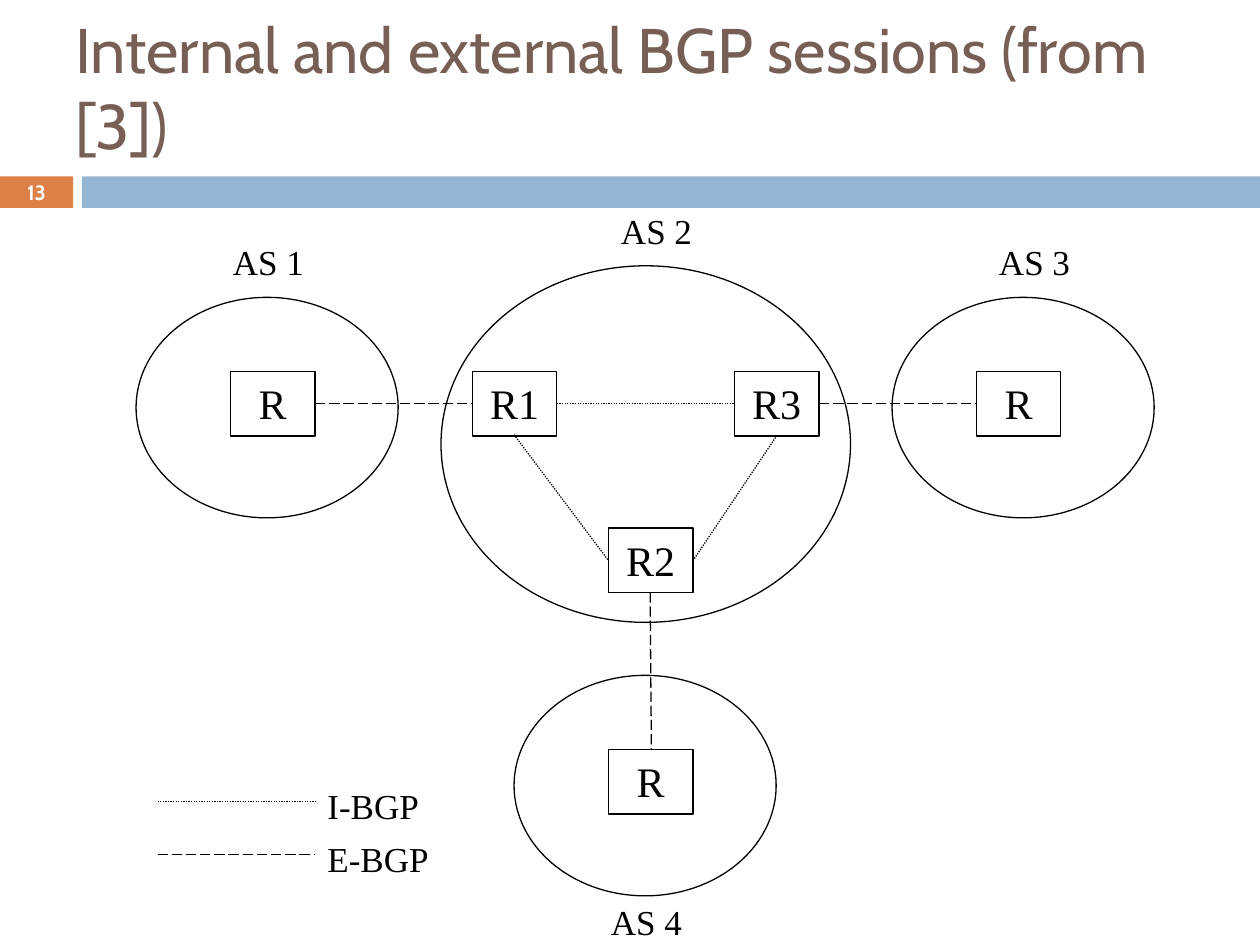
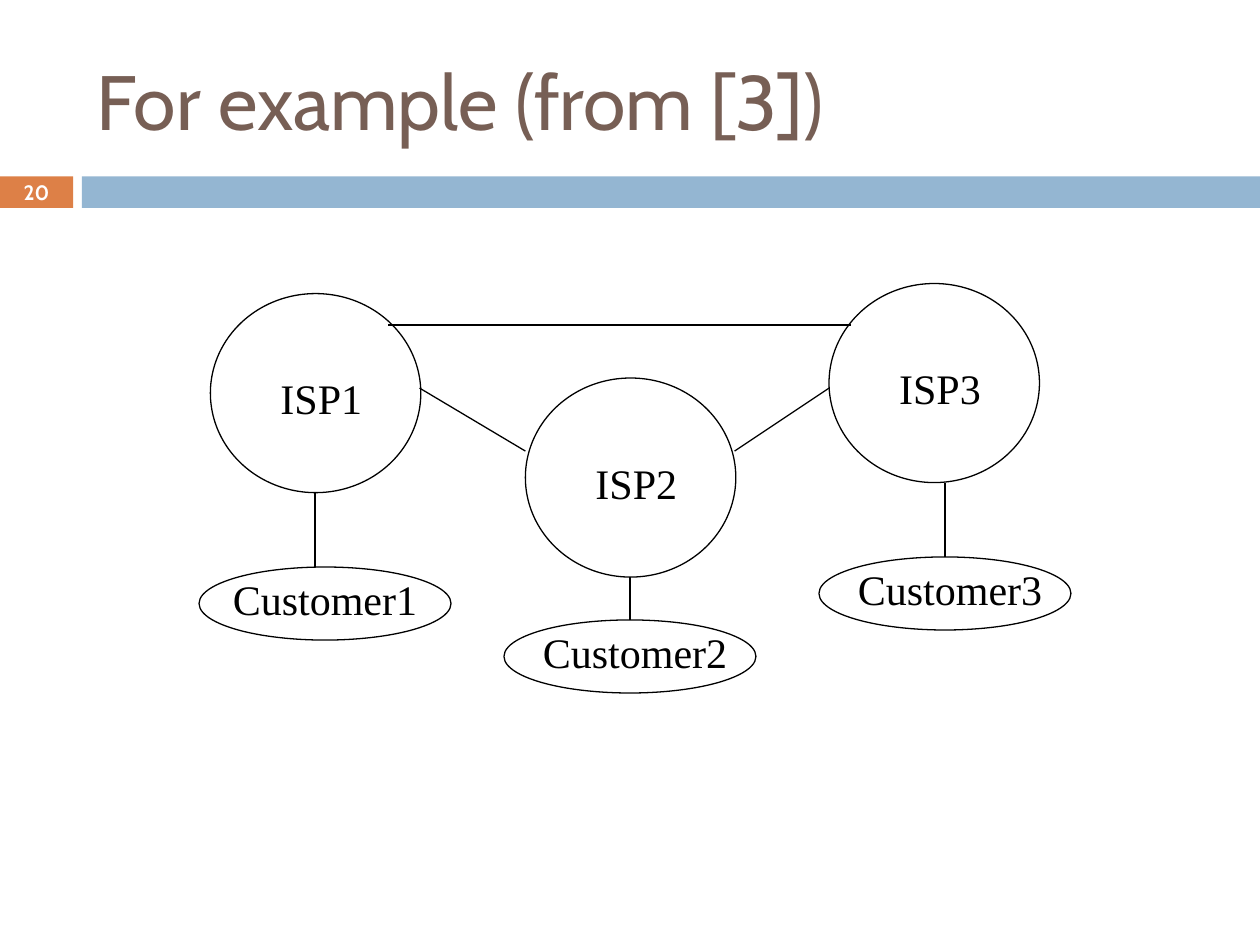
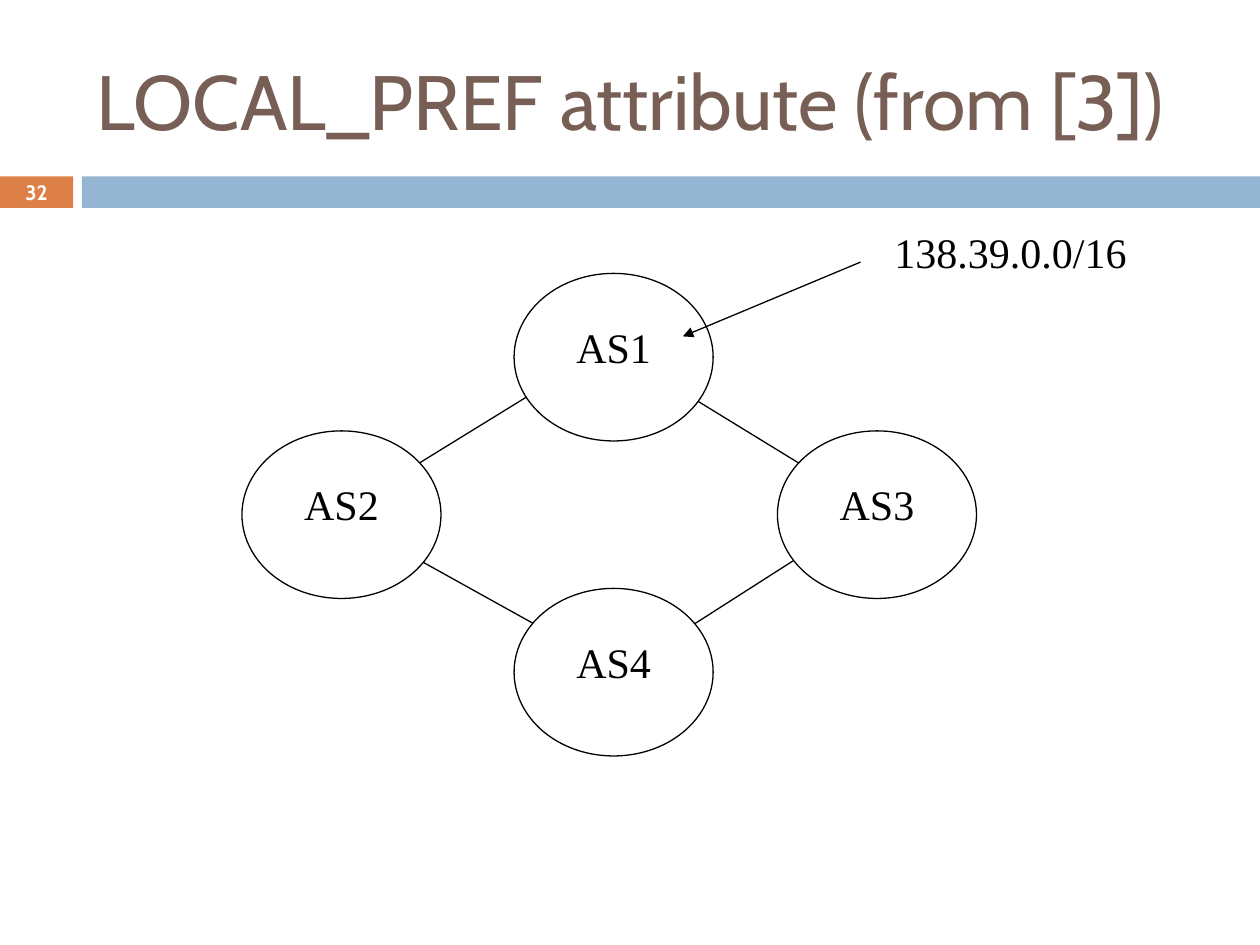
from dataclasses import dataclass
from typing import Optional

from lxml.etree import SubElement
from pptx import Presentation
from pptx.dml.color import RGBColor
from pptx.enum.dml import MSO_LINE
from pptx.enum.shapes import MSO_CONNECTOR, MSO_SHAPE
from pptx.enum.text import MSO_ANCHOR, PP_ALIGN
from pptx.oxml.ns import qn
from pptx.util import Cm, Pt

BLACK, WHITE = "000000", "FFFFFF"
BROWN, BLUE, ORANGE = "775F55", "94B6D2", "DD8047"
SANS, SERIF = "Cabin", "Times New Roman"
DOT, DASH = MSO_LINE.ROUND_DOT, MSO_LINE.LONG_DASH
OVAL, RECT = MSO_SHAPE.OVAL, MSO_SHAPE.RECTANGLE


@dataclass(frozen=True)
class Box:
    """Left, top, width and height in inches."""
    x: float
    y: float
    w: float
    h: float


@dataclass(frozen=True)
class Font:
    """Look of a run of text."""
    size: float
    face: str = SERIF
    color: str = BLACK
    bold: bool = False


@dataclass(frozen=True)
class Link:
    """A line between two points, in inches."""
    x1: float
    y1: float
    x2: float
    y2: float
    dash: Optional[MSO_LINE] = None
    arrow: bool = False


BODY, SMALL = Font(24), Font(20)
NUMBER = Font(11.9, SANS, WHITE, True)


def inch(n: float) -> Cm:
    """Turn inches into a length."""
    return Cm(n * 2.54)


def rgb(code: str) -> RGBColor:
    """Turn a hex string into a colour."""
    return RGBColor.from_string(code)


def place(box: Box) -> tuple:
    """Give the four lengths of a box."""
    return inch(box.x), inch(box.y), inch(box.w), inch(box.h)


def write(shape, text: str, font: Font, align=PP_ALIGN.CENTER,
          anchor=MSO_ANCHOR.TOP) -> None:
    """Put one run of text in a shape."""
    frame = shape.text_frame
    frame.word_wrap = True
    frame.vertical_anchor = anchor
    para = frame.paragraphs[0]
    para.alignment = align
    run = para.add_run()
    run.text = text
    run.font.size = Pt(font.size)
    run.font.name = font.face
    run.font.bold = font.bold
    run.font.color.rgb = rgb(font.color)


def label(slide, box: Box, text: str, font: Font = BODY,
          align=PP_ALIGN.CENTER, anchor=MSO_ANCHOR.TOP) -> None:
    """Add a text box."""
    write(slide.shapes.add_textbox(*place(box)), text, font, align, anchor)


def draw(slide, kind: MSO_SHAPE, box: Box, fill: str = "", line: str = BLACK):
    """Add a preset shape; an empty colour means none."""
    shape = slide.shapes.add_shape(kind, *place(box))
    shape.shadow.inherit = False
    if fill:
        shape.fill.solid()
        shape.fill.fore_color.rgb = rgb(fill)
    else:
        shape.fill.background()
    if line:
        shape.line.color.rgb = rgb(line)
        shape.line.width = Pt(0.75)
    else:
        shape.line.fill.background()
    return shape


def join(slide, link: Link) -> None:
    """Draw a link as a thin black line."""
    ends = (inch(n) for n in (link.x1, link.y1, link.x2, link.y2))
    wire = slide.shapes.add_connector(MSO_CONNECTOR.STRAIGHT, *ends)
    wire.line.color.rgb = rgb(BLACK)
    wire.line.width = Pt(0.75)
    if link.dash:
        wire.line.dash_style = link.dash
    props = wire.element.spPr
    if link.arrow:
        SubElement(props.find(qn("a:ln")), qn("a:tailEnd"), type="triangle")
    SubElement(props, qn("a:effectLst"))


def start(deck, title: str, number: int, size: float = 44,
          box: Box = Box(0.67, 0.25, 8.92, 1.08)):
    """Add a slide with bands, title and number."""
    slide = deck.slides.add_slide(deck.slide_layouts[6])
    draw(slide, RECT, Box(0, 1.4, 0.58, 0.25), ORANGE, "")
    draw(slide, RECT, Box(0.65, 1.4, 9.35, 0.25), BLUE, "")
    label(slide, box, title, Font(size, SANS, BROWN),
          PP_ALIGN.LEFT, MSO_ANCHOR.MIDDLE)
    label(slide, Box(0, 1.39, 0.58, 0.27), str(number), NUMBER,
          anchor=MSO_ANCHOR.MIDDLE)
    return slide


def sessions(deck) -> None:
    """Routers in four systems and the sessions between them."""
    slide = start(deck, "Internal and external BGP sessions (from [3])", 13,
                  36, Box(0.5, 0.3, 9.23, 0.77))
    routers = (("R1", 3.75, 2.95), ("R2", 4.83, 4.19), ("R3", 5.83, 2.95),
               ("R", 1.83, 2.95), ("R", 7.75, 2.95), ("R", 4.83, 5.95))
    for name, x, y in routers:
        write(draw(slide, RECT, Box(x, y, 0.67, 0.51)), name, BODY)
    for x, y in ((1.08, 2.36), (7.08, 2.36), (4.08, 5.36)):
        draw(slide, OVAL, Box(x, y, 2.08, 1.75))
    draw(slide, OVAL, Box(3.5, 2.11, 3.25, 2.83))
    links = (
        Link(4.42, 3.2, 5.83, 3.2, DOT), Link(4.08, 3.45, 4.83, 4.45, DOT),
        Link(5.5, 4.45, 6.17, 3.45, DOT), Link(2.5, 3.2, 3.75, 3.2, DASH),
        Link(6.5, 3.2, 7.75, 3.2, DASH), Link(5.16, 4.7, 5.17, 5.95, DASH))
    for link in links:
        join(slide, link)
    names = ((1.75, 1.86), (4.83, 1.61), (7.83, 1.86), (4.75, 7.1))
    for n, (x, y) in enumerate(names, 1):
        label(slide, Box(x, y, 0.92, 0.43), f"AS {n}", SMALL, PP_ALIGN.LEFT)
    for name, y, dash in (("I-BGP", 6.36, DOT), ("E-BGP", 6.78, DASH)):
        join(slide, Link(1.25, y, 2.5, y, dash))
        label(slide, Box(2.5, y - 0.18, 1.25, 0.43), name, SMALL,
              PP_ALIGN.LEFT)


def example(deck) -> None:
    """Three providers, each with a customer."""
    slide = start(deck, "For example (from [3])", 20)
    hubs = ((1.67, 2.33), (4.17, 3), (6.58, 2.25))
    for n, (x, y) in enumerate(hubs, 1):
        draw(slide, OVAL, Box(x, y, 1.67, 1.58))
        label(slide, Box(x + 0.17, y + 0.58, 1.42, 0.5), f"ISP{n}")
    clients = ((1.58, 4.5, 2), (4, 4.92, 1.92), (6.5, 4.42, 1.92))
    for n, (x, y, wide) in enumerate(clients, 1):
        draw(slide, OVAL, Box(x, y, 2, 0.58))
        label(slide, Box(x + 2 - wide, y, wide, 0.5), f"Customer{n}")
        mid = 2.5 * n
        join(slide, Link(mid, hubs[n - 1][1] + 1.58, mid, y))
    for link in (Link(3.33, 3.08, 4.17, 3.58), Link(5.83, 3.58, 6.58, 3.08),
                 Link(3.08, 2.58, 6.75, 2.58)):
        join(slide, link)


def choice(deck) -> None:
    """A ring of four systems and the prefix of the first."""
    slide = start(deck, "LOCAL_PREF attribute (from [3])", 32)
    for link in (Link(4.92, 5.33, 7, 4), Link(2.67, 4.08, 4.83, 2.75),
                 Link(4.83, 2.75, 7, 4.08), Link(2.67, 4.08, 4.92, 5.33)):
        join(slide, link)
    nodes = ((4.08, 2.17), (1.92, 3.42), (6.17, 3.42), (4.08, 4.67))
    for n, (x, y) in enumerate(nodes, 1):
        draw(slide, OVAL, Box(x, y, 1.58, 1.33), WHITE)
        label(slide, Box(x + 0.25, y + 0.33, 1.08, 0.5), f"AS{n}")
    join(slide, Link(6.83, 2.08, 5.42, 2.67, arrow=True))
    label(slide, Box(7, 1.75, 2.25, 0.5), "138.39.0.0/16",
          align=PP_ALIGN.LEFT)


def main() -> None:
    """Build and save the deck."""
    deck = Presentation()
    deck.slide_width, deck.slide_height = inch(10), inch(7.5)
    for build in (sessions, example, choice):
        build(deck)
    deck.save("out.pptx")


main()
